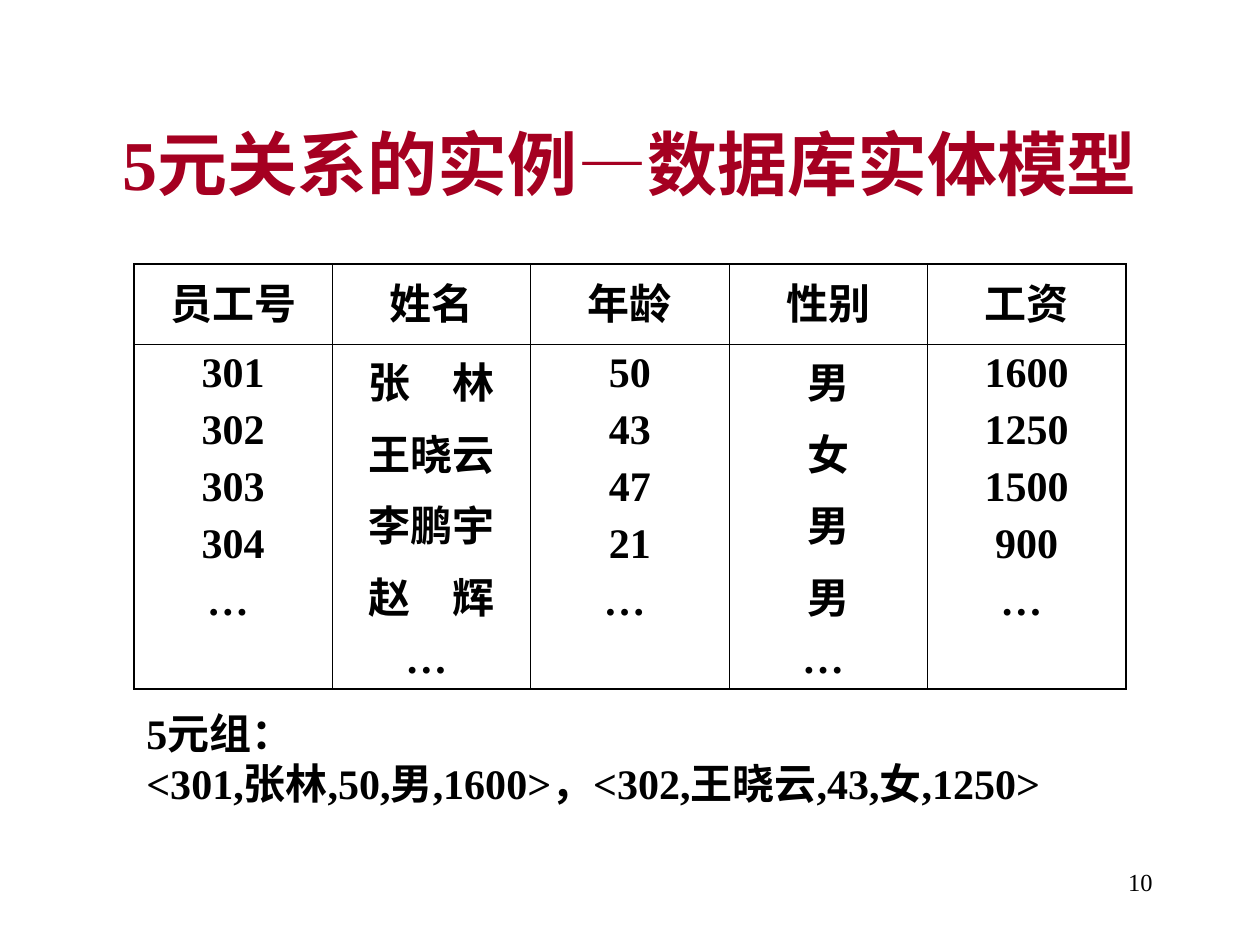
"""Build a slide that shows a 5-ary relation as an employee table."""
from lxml import etree
from pptx import Presentation
from pptx.dml.color import RGBColor
from pptx.enum import text
from pptx.oxml import ns
from pptx.util import Pt

PX = 914400 // 126
FONT = "Times New Roman"
COLORS = {"title": "A50021", "ink": "000000", "paper": "FFFFFF"}
LEFT, CENTER, RIGHT = text.PP_ALIGN.LEFT, text.PP_ALIGN.CENTER, text.PP_ALIGN.RIGHT


def write(frame, lines, size, bold=True, color="ink", align=LEFT, before=0):
    frame.word_wrap = True
    for i, line in enumerate(lines):
        paragraph = frame.add_paragraph() if i else frame.paragraphs[0]
        paragraph.text = line
        paragraph.alignment = align
        paragraph.space_before = Pt(before)
        paragraph.font.name = FONT
        paragraph.font.size = Pt(size)
        paragraph.font.bold = bold
        paragraph.font.color.rgb = RGBColor.from_string(COLORS[color])


def add_border(cell, side, width):
    line = etree.SubElement(cell._tc.get_or_add_tcPr(), ns.qn(f"a:ln{side}"), w=str(Pt(width)))
    fill = etree.SubElement(line, ns.qn("a:solidFill"))
    etree.SubElement(fill, ns.qn("a:srgbClr"), val=COLORS["ink"])


prs = Presentation()
prs.slide_width, prs.slide_height = 1260 * PX, 945 * PX
slide = prs.slides.add_slide(prs.slide_layouts[6])

page_number = slide.shapes.add_textbox(903 * PX, 861 * PX, 262 * PX, 63 * PX)
write(page_number.text_frame, ["10"], 14, bold=False, align=RIGHT)

title = slide.shapes.add_textbox(94 * PX, 84 * PX, 1072 * PX, 158 * PX)
title.text_frame.vertical_anchor = text.MSO_ANCHOR.MIDDLE
write(title.text_frame, ["5元关系的实例—数据库实体模型"], 40, color="title", align=CENTER)

employees = {
    "员工号": ["301", "302", "303", "304", "… "],
    "姓名": ["张　林", "王晓云", "李鹏宇", "赵　辉", "… "],
    "年龄": ["50", "43", "47", "21", "… "],
    "性别": ["男", "女", "男", "男", "… "],
    "工资": ["1600", "1250", "1500", "900", "… "],
}
last = len(employees) - 1
relation = slide.shapes.add_table(2, len(employees), 134 * PX, 264 * PX, 992 * PX, 425 * PX).table
relation.rows[0].height, relation.rows[1].height = 80 * PX, 345 * PX

for col, (heading, values) in enumerate(employees.items()):
    for row, lines in enumerate([[heading], values]):
        cell = relation.cell(row, col)
        write(cell.text_frame, lines, 24, align=CENTER, before=6)
        outer = {"L": col == 0, "R": col == last, "T": row == 0, "B": row == 1}
        for side, is_outer in outer.items():
            add_border(cell, side, 1.08 if is_outer else 0.45)
        cell.fill.solid()
        cell.fill.fore_color.rgb = RGBColor.from_string(COLORS["paper"])

tuples = slide.shapes.add_textbox(134 * PX, 701 * PX, 1012 * PX, 164 * PX)
write(tuples.text_frame, ["5元组：", "<301,张林,50,男,1600>，<302,王晓云,43,女,1250>"], 24)

prs.save("out.pptx")
